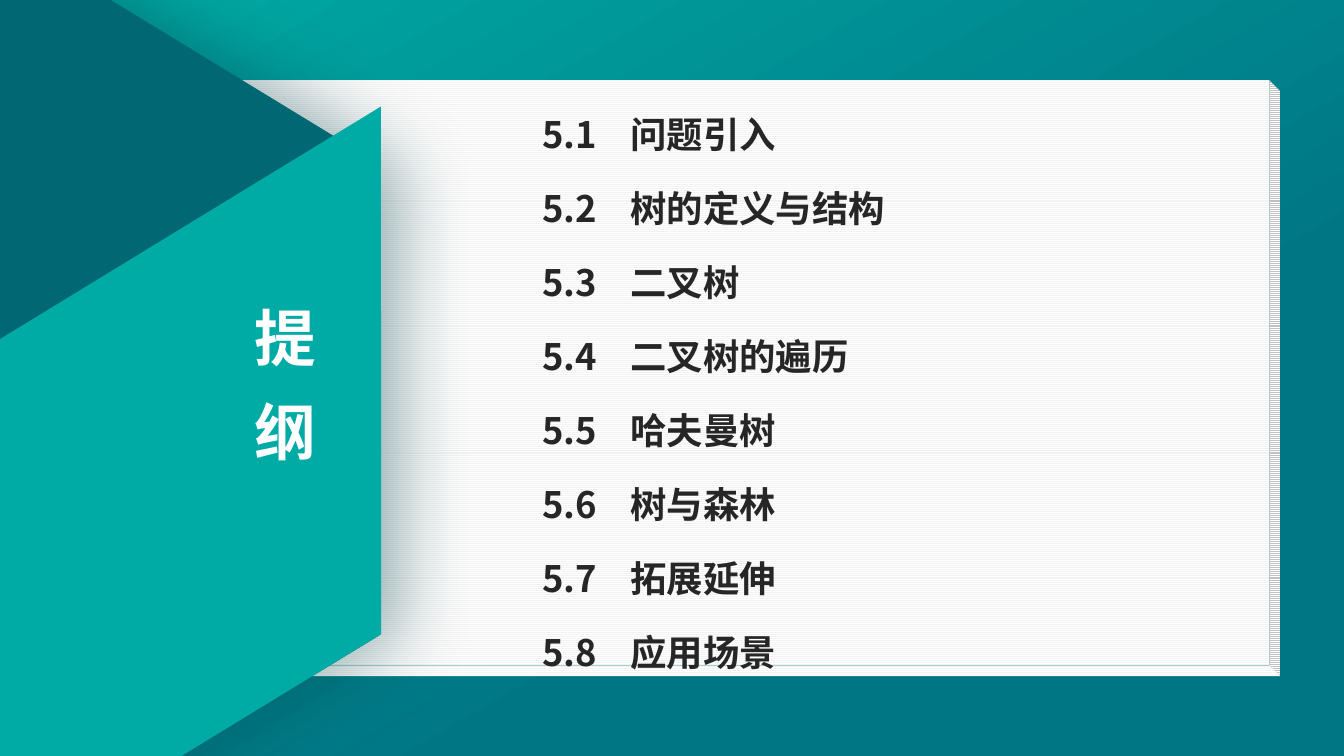
import pptx
import pptx.util
import pptx.dml.color
import pptx.enum.dml
import pptx.enum.shapes
import pptx.enum.text
import pptx.oxml
import pptx.oxml.ns

Cm = pptx.util.Cm
Pt = pptx.util.Pt
KINDS = pptx.enum.shapes.MSO_SHAPE
ALIGN = pptx.enum.text.PP_ALIGN
FONT = "Noto Sans CJK SC"
COLORS = {
    "teal": "00ABA5",
    "deep": "007684",
    "dark": "016773",
    "shade": "013F45",
    "ink": "262626",
    "rule": "F2F2F2",
    "white": "FFFFFF",
    "black": "000000",
}
TOPICS = [
    "问题引入",
    "树的定义与结构",
    "二叉树",
    "二叉树的遍历",
    "哈夫曼树",
    "树与森林",
    "拓展延伸",
    "应用场景",
]


def color(name):
    """Return the named colour."""
    return pptx.dml.color.RGBColor.from_string(COLORS[name])


def node(xml):
    """Build a drawing element from a short string."""
    head, tail = xml.split(" ", 1)
    return pptx.oxml.parse_xml(f"{head} {pptx.oxml.ns.nsdecls('a')} {tail}")


def shadow(name, alpha, blur, dist, angle):
    """Build an outer shadow with sizes in points."""
    return node(
        f'<a:effectLst ><a:outerShdw blurRad="{Pt(blur)}" dist="{Pt(dist)}" '
        f'dir="{angle * 60000}" algn="tl" rotWithShape="0">'
        f'<a:srgbClr val="{COLORS[name]}"><a:alpha val="{alpha * 1000}"/>'
        "</a:srgbClr></a:outerShdw></a:effectLst>"
    )


def blend(fill, stops, angle):
    """Fill with two colour stops along a clockwise angle."""
    fill.gradient()
    fill.gradient_angle = 360 - angle
    for stop, (place, name) in zip(fill.gradient_stops, stops):
        stop.position = place
        stop.color.rgb = color(name)


def add_form(slide, kind, box, adjust, turn=0):
    """Add a plain preset shape without outline or shadow."""
    form = slide.shapes.add_shape(kind, *map(Cm, box))
    form.shadow.inherit = False
    form.line.fill.background()
    form.rotation = turn
    for index, value in enumerate(adjust):
        form.adjustments[index] = value
    return form


def put_text(holder, lines, box, size, tint, pitch, before=0,
             align=ALIGN.LEFT, hang=0, glow=None):
    """Place a text holder in front and write its formatted lines."""
    holder.left, holder.top, holder.width, holder.height = map(Cm, box)
    frame = holder.text_frame
    frame.word_wrap = True
    frame.auto_size = pptx.enum.text.MSO_AUTO_SIZE.NONE
    frame.vertical_anchor = pptx.enum.text.MSO_ANCHOR.TOP
    frame.margin_top = frame.margin_bottom = 0
    frame.text = "\n".join(lines)
    for index, para in enumerate(frame.paragraphs):
        para.alignment = align
        para.line_spacing = Pt(pitch)
        para.space_before = Pt(before if index else 0)
        props = para._p.get_or_add_pPr()
        props.set("marL", str(Cm(hang)))
        props.set("indent", str(-Cm(hang)))
        props.append(node("<a:buNone />"))
        if hang:
            props.append(node(
                f'<a:tabLst ><a:tab pos="{Cm(hang)}" algn="l"/></a:tabLst>'))
        for run in para.runs:
            run.font.size = Pt(size)
            run.font.bold = True
            run.font.color.rgb = color(tint)
            if glow:
                run.font._element.append(shadow(*glow))
            run.font.name = FONT
            run.font._element.append(node(f'<a:ea typeface="{FONT}"/>'))


def add_page(slide):
    """Add the ruled paper block."""
    page = add_form(slide, KINDS.CUBE, (0, 2.03, 32.26, 15.01), [0.018])
    page.element.spPr.get_or_add_xfrm().set("flipV", "1")
    page.fill.patterned()
    page.fill.pattern = pptx.enum.dml.MSO_PATTERN.LIGHT_HORIZONTAL
    page.fill.fore_color.rgb = color("rule")
    page.fill.back_color.rgb = color("white")


def add_folds(slide):
    """Add the dark and the light fold on the left."""
    dark = add_form(slide, KINDS.HEXAGON, (-15.77, -2.01, 26.57, 24.16),
                    [0.305, 1.155], turn=90)
    blend(dark.fill, [(0.77, "dark"), (1, "deep")], 90)
    props = dark.element.spPr
    props.remove(props.find(pptx.oxml.ns.qn("a:effectLst")))
    props.append(shadow("shade", 40, 55, 13, 0))
    light = add_form(slide, KINDS.PARALLELOGRAM, (-6.96, 7.34, 21.06, 11.35),
                     [0.61], turn=328.6)
    light.fill.solid()
    light.fill.fore_color.rgb = color("teal")


def main():
    """Build the outline slide."""
    deck = pptx.Presentation()
    deck.slide_width, deck.slide_height = Cm(33.87), Cm(19.05)
    slide = deck.slides.add_slide(deck.slide_layouts[1])
    blend(slide.background.fill, [(0, "teal"), (0.67, "deep")], 60)
    add_page(slide)
    add_folds(slide)
    title, body = slide.placeholders
    for holder in (title, body):
        slide.shapes.element.append(holder.element)
    put_text(title, "提纲", (5.6, 7.05, 3.2, 4.75), 44, "white", 67,
             align=ALIGN.CENTER, glow=("black", 43, 3, 3, 45))
    topics = [f"5.{number}\t{topic}" for number, topic in enumerate(TOPICS, 1)]
    put_text(body, topics, (13.41, 2.26, 10.74, 14.76), 26, "ink", 46.9,
             before=6, hang=2.22)
    deck.save("out.pptx")


if __name__ == "__main__":
    main()
